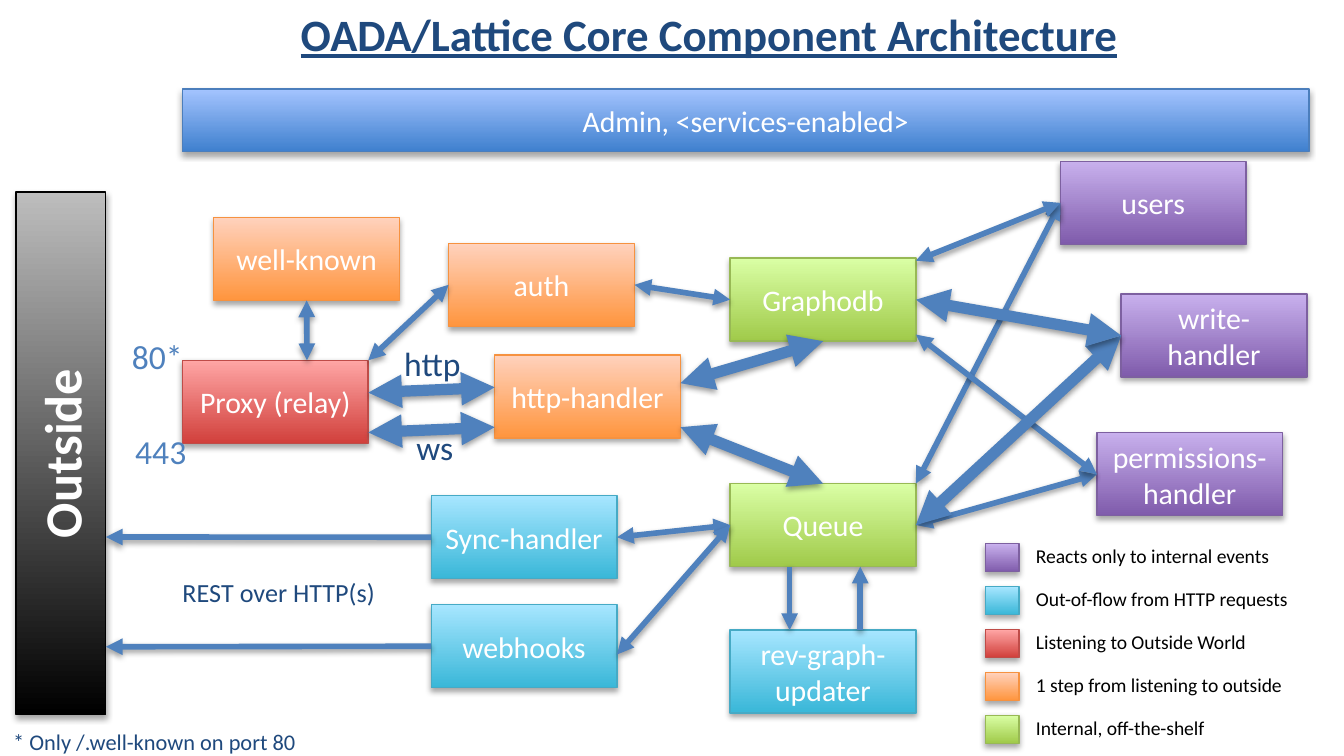
from dataclasses import dataclass

import pptx
import pptx.dml.color
import pptx.enum.shapes
import pptx.enum.text
import pptx.oxml.ns
import pptx.util
from lxml import etree
from pptx.util import Cm

ALIGN = pptx.enum.text.PP_ALIGN
ANCHOR = pptx.enum.text.MSO_ANCHOR
RECT = pptx.enum.shapes.MSO_SHAPE.RECTANGLE


@dataclass(frozen=True)
class Theme:
    """Colours as (bottom, top, outline) and type sizes in points."""
    font: str = "Calibri"
    purple: tuple = ("7F5BAB", "C8B0ED", "7D60A0")
    cyan: tuple = ("39B7D8", "A7E6FF", "46AAC5")
    red: tuple = ("D1403C", "FFA6A5", "BF4C48")
    orange: tuple = ("FF953E", "FFD2BD", "F69240")
    green: tuple = ("A0CA4A", "DAFFA5", "98B955")
    blue: tuple = ("3F80CE", "A4C4FF", "4B7EBC")
    black: tuple = ("000000", "BDBDBD", "000000")
    accent: str = "4F81BD"
    navy: str = "1F497D"
    white: str = "FFFFFF"
    ink: str = "000000"
    title: float = 24
    side: float = 28
    port: float = 18
    node: float = 16
    caption: float = 14
    note: float = 12
    legend: float = 10.5
    thin: float = 3
    thick: float = 6


T = Theme()

NODES = {
    "proxy": ("Proxy (relay)", T.red, 3.15, 3.76),
    "auth": ("auth", T.orange, 8.18, 1.55),
    "known": ("well-known", T.orange, 3.74, 1.06),
    "http": ("http-handler", T.orange, 9.05, 3.66),
    "queue": ("Queue", T.green, 13.5, 6.09),
    "store": ("Graphodb", T.green, 13.5, 1.83),
    "write": ("write-handler", T.purple, 20.89, 2.51),
    "sync": ("Sync-handler", T.cyan, 7.85, 6.32),
    "rev": ("rev-graph-updater", T.cyan, 13.5, 8.86),
    "perm": ("permissions-handler", T.purple, 20.43, 5.13),
    "hooks": ("webhooks", T.cyan, 7.85, 8.38),
    "users": ("users", T.purple, 19.74, 0),
}

LINKS = [
    ("users", 0, 0.5, "queue", 1, 0, T.thin, "both"),
    ("proxy", 1, 0, "auth", 0, 0.5, T.thin, "both"),
    ("proxy", 1, 0.39, "http", 0, 0.39, T.thick, "both"),
    ("known", 0.5, 1, "proxy", 0.67, 0, T.thin, "both"),
    ("http", 1, 0.34, "store", 0.5, 1, T.thick, "both"),
    ("proxy", 1, 0.87, "http", 0, 0.87, T.thick, "both"),
    ("http", 1, 0.87, "queue", 0.5, 0, T.thick, "both"),
    ("users", 0, 0.5, "store", 1, 0.03, T.thin, "both"),
    ("perm", 0, 0.5, "queue", 1, 0.5, T.thin, "both"),
    ("perm", 0, 0.5, "store", 1, 0.92, T.thin, "both"),
    ("queue", 1, 0.5, "write", 0, 0.5, T.thick, "both"),
    ("store", 1, 0.5, "write", 0, 0.5, T.thick, "both"),
    ("store", 0, 0.5, "auth", 1, 0.5, T.thin, "both"),
    ("queue", 0.32, 1, "rev", 0.32, 0, T.thin, "end"),
    ("rev", 0.7, 0, "queue", 0.7, 1, T.thin, "end"),
    ("sync", 0, 0.5, "outside", 1, 0.66, T.thin, "end"),
    ("hooks", 0, 0.5, "outside", 1, 0.87, T.thin, "end"),
    ("queue", 0, 0.5, "sync", 1, 0.5, T.thin, "both"),
    ("queue", 0, 0.5, "hooks", 1, 0.6, T.thin, "both"),
]

LABELS = [
    ("80*", 1.94, 3.17, 1.47, T.port, T.accent, ALIGN.CENTER),
    ("443", 1.99, 4.98, 1.5, T.port, T.accent, ALIGN.CENTER),
    ("http", 7.09, 3.3, 1.63, T.port, T.navy, ALIGN.LEFT),
    ("ws", 7.32, 4.9, 1.22, T.port, T.navy, ALIGN.LEFT),
    ("REST over HTTP(s)", 2.9, 7.72, 4.19, T.caption, T.navy, ALIGN.LEFT),
    ("* Only /.well-known on port 80", -0.3, 10.59, 5.92, T.note, T.navy, ALIGN.LEFT),
]

LEGEND = [
    ("Reacts only to internal events", T.purple, 5),
    ("Out-of-flow from HTTP requests", T.cyan, 5.38),
    ("Listening to Outside World", T.red, 4.57),
    ("1 step from listening to outside", T.orange, 5.26),
    ("Internal, off-the-shelf", T.green, 3.78),
]


def rgb(value):
    """Return a colour from its hex digits."""
    return pptx.dml.color.RGBColor.from_string(value)


def write(tf, text, size, color, align=ALIGN.CENTER, bold=False, underline=False):
    """Write one formatted run into a text frame."""
    p = tf.paragraphs[0]
    p.alignment = align
    r = p.add_run()
    r.text = text
    r.font.name = T.font
    r.font.size = pptx.util.Pt(size)
    r.font.bold = bold
    r.font.underline = underline
    r.font.color.rgb = rgb(color)


def add_box(s, x, y, w, h, colors, text="", size=T.node, bold=False):
    """Add a gradient rectangle with optional centred text."""
    sp = s.shapes.add_shape(RECT, Cm(x), Cm(y), Cm(w), Cm(h))
    bottom, top, outline = colors
    sp.fill.gradient()
    sp.fill.gradient_angle = 90
    for stop, color in zip(sp.fill.gradient_stops, (bottom, top)):
        stop.color.rgb = rgb(color)
    sp.line.color.rgb = rgb(outline)
    sp.line.width = pptx.util.Pt(0.75)
    if text:
        write(sp.text_frame, text, size, T.white, bold=bold)
    return sp


def add_label(s, x, y, w, text, size, color, align=ALIGN.LEFT):
    """Add a one-line text box as tall as its type."""
    sp = s.shapes.add_textbox(Cm(x), Cm(y), Cm(w), Cm(0.25 + 0.043 * size))
    sp.text_frame.word_wrap = False
    write(sp.text_frame, text, size, color, align)


def add_header(s, x, y, w):
    """Place the title and the admin bar in a band of the given width."""
    sp = s.shapes.title
    sp.left, sp.top, sp.width, sp.height = Cm(x + 1.96), Cm(y), Cm(15.98), Cm(1.28)
    tf = sp.text_frame
    tf.word_wrap = False
    tf.auto_size = pptx.enum.text.MSO_AUTO_SIZE.NONE
    tf.vertical_anchor = ANCHOR.MIDDLE
    write(tf, "OADA/Lattice Core Component Architecture", T.title, T.navy,
          bold=True, underline=True)
    add_box(s, x, y + 1.68, w, 1.19, T.blue, "Admin, <services-enabled>")


def add_link(s, start, fx, fy, end, gx, gy, width, arrows):
    """Join two boxes at fractional points, glued where a site exists."""
    sites = {(0.5, 0): 0, (0, 0.5): 1, (0.5, 1): 2, (1, 0.5): 3}
    points = [(int(sp.left + u * sp.width), int(sp.top + v * sp.height))
              for sp, u, v in ((start, fx, fy), (end, gx, gy))]
    kind = pptx.enum.shapes.MSO_CONNECTOR.STRAIGHT
    c = s.shapes.add_connector(kind, *points[0], *points[1])
    if (fx, fy) in sites:
        c.begin_connect(start, sites[fx, fy])
    if (gx, gy) in sites:
        c.end_connect(end, sites[gx, gy])
    c.line.color.rgb = rgb(T.accent)
    c.line.width = pptx.util.Pt(width)
    for tag in ("a:headEnd", "a:tailEnd") if arrows == "both" else ("a:tailEnd",):
        etree.SubElement(c.line._get_or_add_ln(), pptx.oxml.ns.qn(tag), type="triangle")


def add_diagram(s, x, y):
    """Place the components, their links and their labels from a corner."""
    boxes = {key: add_box(s, x + dx, y + dy, 3.51, 1.57, colors, text)
             for key, (text, colors, dx, dy) in NODES.items()}
    sp = add_box(s, x, y + 0.58, 1.7, 9.88, T.black, "Outside", T.side, True)
    sp.text_frame._txBody.bodyPr.set("vert", "vert270")
    boxes["outside"] = sp
    for a, fx, fy, b, gx, gy, width, arrows in LINKS:
        add_link(s, boxes[a], fx, fy, boxes[b], gx, gy, width, arrows)
    for text, dx, dy, w, size, color, align in LABELS:
        add_label(s, x + dx, y + dy, w, text, size, color, align)


def add_legend(s, x, y, pitch):
    """Stack colour swatches with their meanings."""
    for i, (text, colors, w) in enumerate(LEGEND):
        top = y + i * pitch
        add_box(s, x, top, 0.64, 0.53, colors)
        add_label(s, x + 0.71, top - 0.12, w, text, T.legend, T.ink)


def main():
    """Build and save the slide."""
    prs = pptx.Presentation()
    prs.slide_width, prs.slide_height = Cm(25.4), Cm(14.29)
    s = prs.slides.add_slide(prs.slide_layouts[5])
    add_header(s, 3.45, 0, 21.29)
    add_diagram(s, 0.3, 3.05)
    add_legend(s, 18.62, 10.28, 0.81)
    prs.save("out.pptx")


if __name__ == "__main__":
    main()
